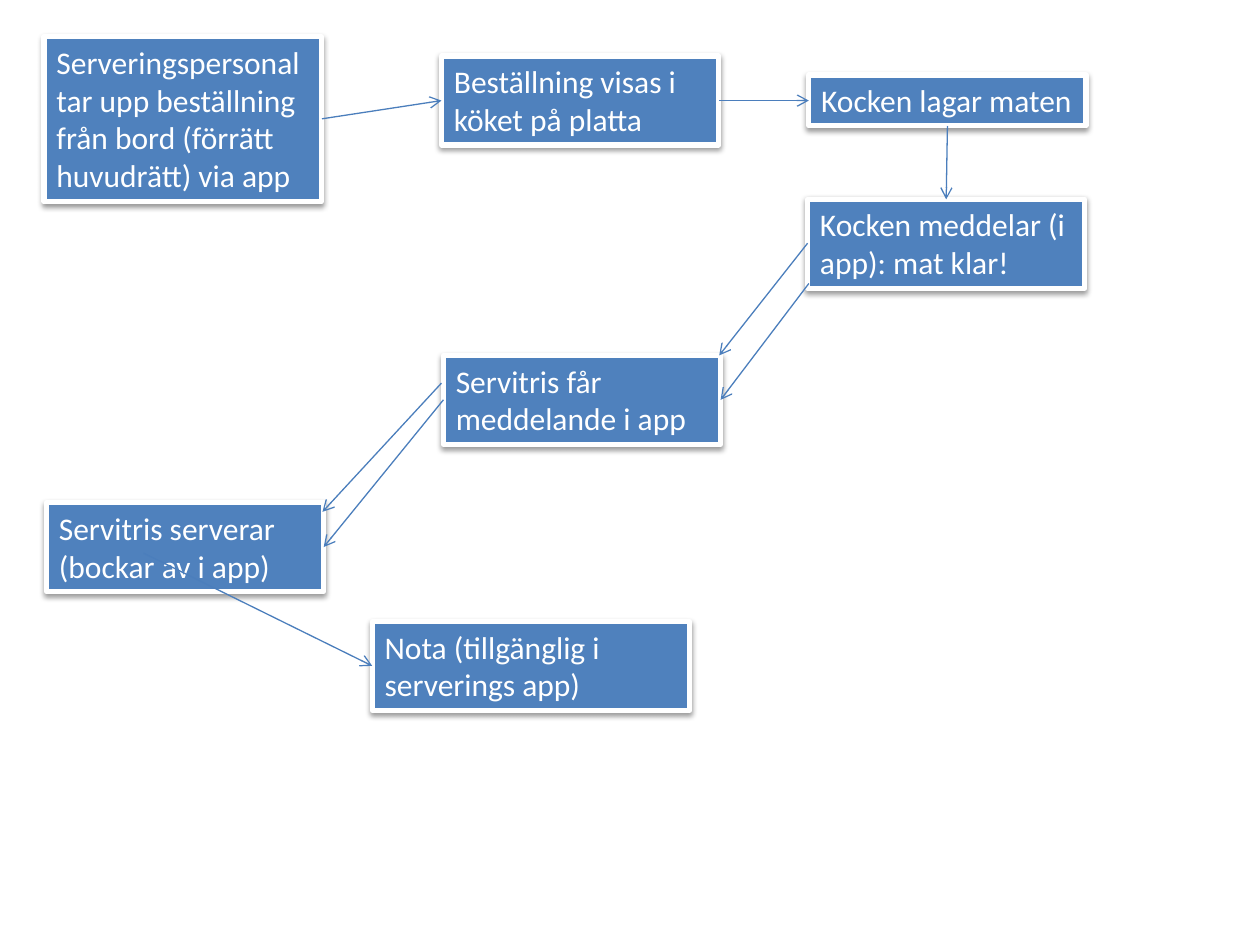
import lxml.etree
import pptx
import pptx.dml.color
import pptx.enum.shapes
import pptx.enum.text
import pptx.oxml
import pptx.oxml.ns
import pptx.util

Pt = pptx.util.Pt


def color(value):
    return pptx.dml.color.RGBColor.from_string(value)


deck = pptx.Presentation()
deck.slide_width, deck.slide_height = Pt(720), Pt(540)
page = deck.slides.add_slide(deck.slide_layouts[6])

SHADOW = (
    f'<a:effectLst {pptx.oxml.ns.nsdecls("a")}>'
    '<a:outerShdw blurRad="39370" dist="20320" dir="5400000" rotWithShape="0">'
    '<a:srgbClr val="000000"><a:alpha val="38000"/></a:srgbClr>'
    '</a:outerShdw></a:effectLst>'
)

steps = [
    ("Serveringspersonal tar upp beställning från bord (förrätt huvudrätt) via app", 25.2, 20.9, 158.4, 94.5),
    ("Beställning visas i köket på platta", 252.3, 32, 158.4, 50.9),
    ("Kocken lagar maten", 462.2, 42.8, 158.4, 29.1),
    ("Kocken meddelar (i app): mat klar!", 461.5, 113.9, 158.4, 50.9),
    ("Servitris får meddelande i app", 253.4, 203.1, 158.4, 50.9),
    ("Servitris serverar (bockar av i app)", 26.6, 287.2, 158.4, 50.9),
    ("Nota (tillgänglig i serverings app)", 212.7, 355.1, 181.4, 50.9),
]
for text, left, top, width, height in steps:
    box = page.shapes.add_textbox(Pt(left), Pt(top), Pt(width), Pt(height))
    box.fill.solid()
    box.fill.fore_color.rgb = color("4F81BD")
    box.line.color.rgb = color("FFFFFF")
    box.line.width = Pt(3)
    box._element.spPr.append(pptx.oxml.parse_xml(SHADOW))
    frame = box.text_frame
    frame.word_wrap = True
    frame.auto_size = pptx.enum.text.MSO_AUTO_SIZE.SHAPE_TO_FIT_TEXT
    para = frame.paragraphs[0]
    span = para.add_run()
    span.text = text
    span.font.name = "Calibri"
    span.font.size = Pt(18)
    span.font.color.rgb = color("FFFFFF")

arrows = [
    (184, 67.9, 252.3, 57.5),
    (411, 57.5, 462.2, 57.5),
    (541.4, 72, 540.7, 113.9),
    (462.2, 162, 411.8, 228.5),
    (253.4, 228.5, 185, 312.6),
    (82.1, 316.1, 212.7, 380.5),
    (461.5, 139, 411, 203.1),
    (252.3, 218.9, 184.3, 292.5),
]
for start_x, start_y, end_x, end_y in arrows:
    arrow = page.shapes.add_connector(
        pptx.enum.shapes.MSO_CONNECTOR.STRAIGHT,
        Pt(start_x), Pt(start_y), Pt(end_x), Pt(end_y),
    )
    arrow.line.color.rgb = color("4B7EBC")
    arrow.line.width = Pt(0.75)
    outline = arrow.line._get_or_add_ln()
    lxml.etree.SubElement(outline, pptx.oxml.ns.qn("a:tailEnd"), type="arrow")
    lxml.etree.SubElement(arrow._element.spPr, pptx.oxml.ns.qn("a:effectLst"))

deck.save("out.pptx")
